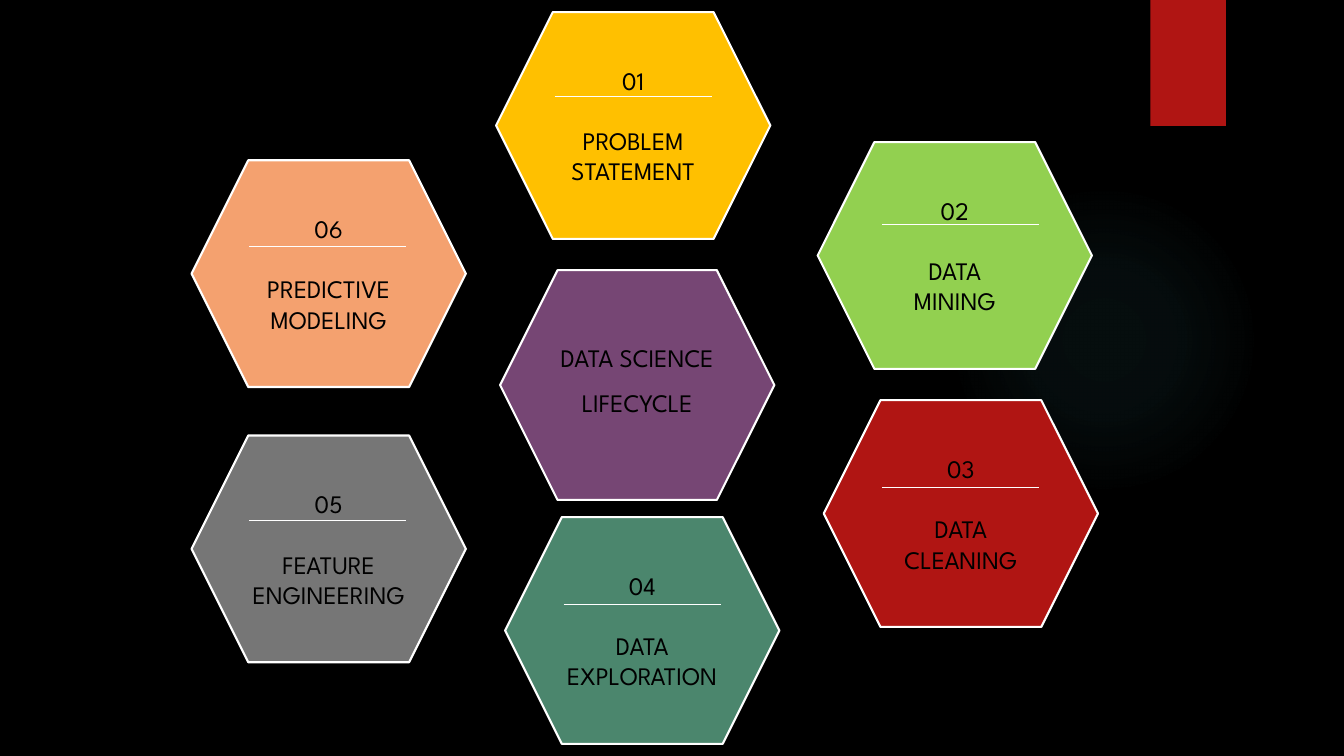
from dataclasses import dataclass

from lxml.etree import SubElement
from pptx import Presentation
from pptx.dml.color import RGBColor as RGB
from pptx.enum.shapes import MSO_CONNECTOR as LINE, MSO_SHAPE as SHAPE
from pptx.enum.text import MSO_ANCHOR as ANCHOR, PP_ALIGN as ALIGN
from pptx.oxml import parse_xml
from pptx.oxml.ns import nsdecls, qn
from pptx.shapes.autoshape import Shape
from pptx.slide import Slide
from pptx.util import Inches, Pt


@dataclass(frozen=True)
class Theme:
    background: str = "000000"
    text: str = "000000"
    outline: str = "FFFFFF"
    accent: str = "B01513"
    glow: str = "50B9C1"
    hub: str = "764674"
    font: str = "League Spartan"
    size: float = 18
    line_gap: float = 21.6
    hub_gap: float = 10.8
    outline_width: float = 1.5
    rule_width: float = 0.75


@dataclass(frozen=True)
class Step:
    number: str
    title: tuple[str, ...]
    color: str
    left: float
    top: float
    rule_left: float
    rule_top: float


THEME = Theme()
HEX_W, HEX_H, HUB_H = 2.72, 2.25, 2.28
RULE_W = 1.56
STEPS = (
    Step("01", ("PROBLEM STATEMENT",), "FFC000", 4.92, 0.12, 5.5, 0.96),
    Step("02", ("DATA", "MINING"), "92D050", 8.11, 1.41, 8.75, 2.23),
    Step("03", ("DATA", "CLEANING"), THEME.accent, 8.17, 3.97, 8.75, 4.84),
    Step("04", ("DATA EXPLORATION",), "4B866D", 5.01, 5.13, 5.59, 6),
    Step("05", ("FEATURE", "ENGINEERING"), "767676", 1.9, 4.32, 2.47, 5.16),
    Step("06", ("PREDICTIVE MODELING",), "F4A16F", 1.9, 1.59, 2.47, 2.45),
)


def add_shape(s: Slide, kind: SHAPE, color: str, left: float, top: float,
              width: float, height: float) -> Shape:
    sp = s.shapes.add_shape(kind, *map(Inches, (left, top, width, height)))
    sp.shadow.inherit = False
    sp.fill.solid()
    sp.fill.fore_color.rgb = RGB.from_string(color)
    sp.line.fill.background()
    return sp


def add_glow(s: Slide) -> None:
    """Draw the faint round light that fades out behind the right-hand steps."""
    sp = add_shape(s, SHAPE.OVAL, THEME.glow, 9.41, 1.83, 3.08, 3.08)
    stops = "".join(
        f'<a:gs pos="{pos}000"><a:srgbClr val="{THEME.glow}">'
        f'<a:alpha val="{alpha}000"/></a:srgbClr></a:gs>'
        for pos, alpha in ((0, 7), (36, 6), (69, 0)))
    gradient = parse_xml(
        f'<a:gradFill {nsdecls("a")}><a:gsLst>{stops}</a:gsLst>'
        '<a:path path="circle"><a:fillToRect l="50000" t="50000" '
        'r="50000" b="50000"/></a:path></a:gradFill>')
    props = sp._element.spPr
    props.replace(props.find(qn("a:solidFill")), gradient)


def add_hexagon(s: Slide, color: str, left: float, top: float, height: float,
                lines: tuple[str, ...], gap: float) -> Shape:
    """Draw a hexagon with centred lines, the gap setting off the first."""
    sp = add_shape(s, SHAPE.HEXAGON, color, left, top, HEX_W, height)
    sp.line.color.rgb = RGB.from_string(THEME.outline)
    sp.line.width = Pt(THEME.outline_width)
    tf = sp.text_frame
    for name, value in {"word_wrap": True, "vertical_anchor": ANCHOR.MIDDLE}.items():
        setattr(tf, name, value)
    for i, line in enumerate(lines):
        p = tf.paragraphs[0] if i == 0 else tf.add_paragraph()
        p.alignment = ALIGN.CENTER
        p.space_before = Pt(gap if i == 1 else 0)
        r = p.add_run()
        r.text = line
        for name, value in {"name": THEME.font, "size": Pt(THEME.size)}.items():
            setattr(r.font, name, value)
        r.font.color.rgb = RGB.from_string(THEME.text)
    return sp


def add_rule(s: Slide, left: float, top: float) -> None:
    rule = s.shapes.add_connector(
        LINE.STRAIGHT, *map(Inches, (left, top, left + RULE_W, top)))
    rule.line.color.rgb = RGB.from_string(THEME.outline)
    rule.line.width = Pt(THEME.rule_width)
    SubElement(rule._element.spPr, qn("a:effectLst"))


def main() -> None:
    prs = Presentation()
    prs.slide_width, prs.slide_height = Inches(13.33), Inches(7.5)
    s = prs.slides.add_slide(prs.slide_layouts[6])
    s.background.fill.solid()
    s.background.fill.fore_color.rgb = RGB.from_string(THEME.background)

    add_glow(s)
    add_shape(s, SHAPE.RECTANGLE, THEME.accent, 11.41, 0, 0.75, 1.25)
    for step in STEPS:
        add_hexagon(s, step.color, step.left, step.top, HEX_H,
                    (step.number, *step.title), THEME.line_gap)
        add_rule(s, step.rule_left, step.rule_top)
    hub = add_hexagon(s, THEME.hub, 4.96, 2.68, HUB_H,
                      ("DATA SCIENCE", "LIFECYCLE"), THEME.hub_gap)
    hub.text_frame.margin_bottom = Inches(0.15)
    prs.save("out.pptx")


if __name__ == "__main__":
    main()
